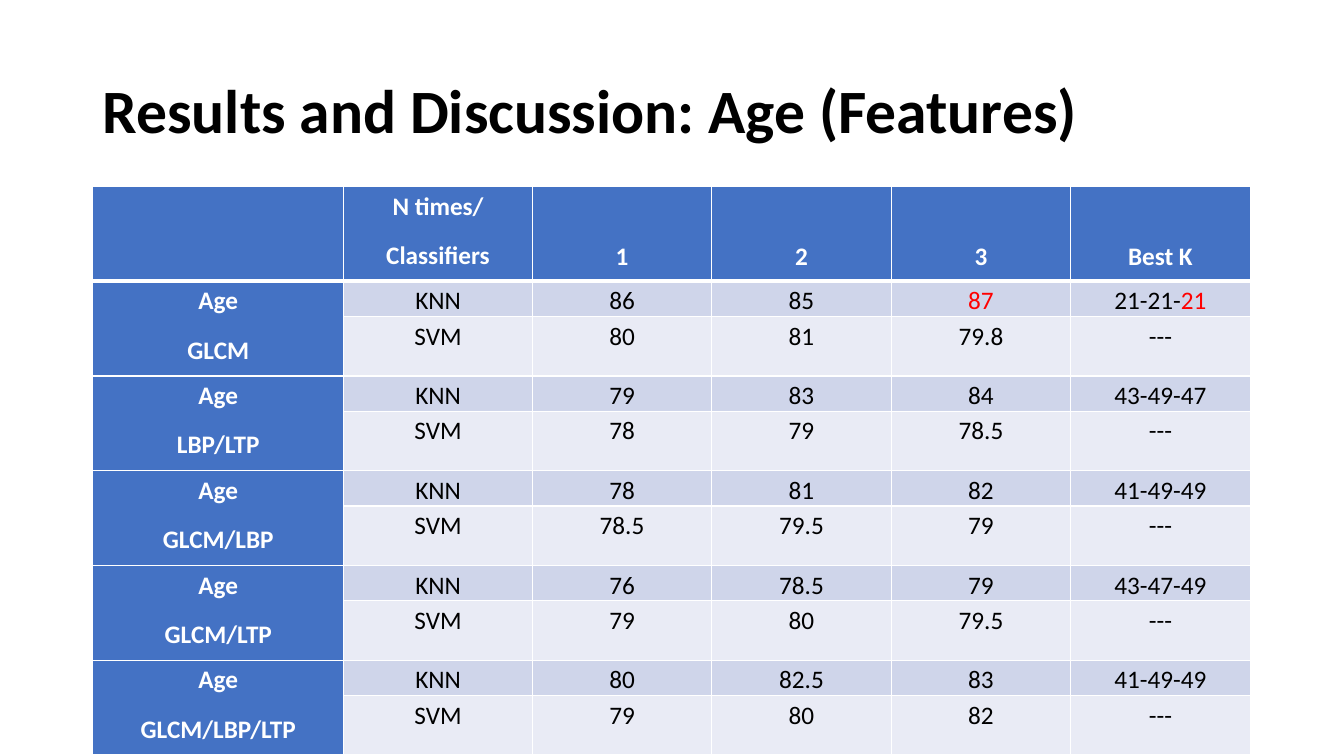
from lxml import etree
from pptx import Presentation
from pptx import util as u
from pptx.dml.color import RGBColor
from pptx.enum import text
from pptx.oxml.ns import qn

COLORS = {
    "black": "000000",
    "white": "FFFFFF",
    "red": "FF0000",
    "header": "4472C4",
    "knn": "CFD5EA",
    "svm": "E9EBF5",
}
FONT = "Calibri"
COLUMN_WIDTHS = [249, 187] + [178] * 4
HEADER_HEIGHT, KNN_HEIGHT, SVM_HEIGHT = 94, 35, 59
HEADINGS = ["", "N times/\nClassifiers", "1", "2", "3", "Best K"]
RESULTS = [
    ("GLCM", ["86", "85", "87", "21-21-"], ["80", "81", "79.8"]),
    ("LBP/LTP", ["79", "83", "84", "43-49-47"], ["78", "79", "78.5"]),
    ("GLCM/LBP", ["78", "81", "82", "41-49-49"], ["78.5", "79.5", "79"]),
    ("GLCM/LTP", ["76", "78.5", "79", "43-47-49"], ["79", "80", "79.5"]),
    ("GLCM/LBP/LTP", ["80", "82.5", "83", "41-49-49"], ["79", "80", "82"]),
]


def px(length):
    return u.Emu(length * 9144)


def rgb(name):
    return RGBColor.from_string(COLORS[name])


def style_run(run, size, color, bold):
    run.font.name = FONT
    run.font.size = u.Pt(size)
    run.font.bold = bold
    run.font.color.rgb = rgb(color)


def add_title(slide, wording):
    title = slide.shapes.add_textbox(px(92), px(40), px(1150), px(145)).text_frame
    title.word_wrap = True
    title.vertical_anchor = text.MSO_ANCHOR.MIDDLE
    title.text = wording
    title.paragraphs[0].line_spacing = 0.9
    style_run(title.paragraphs[0].runs[0], 44, "black", True)


def set_borders(cell, top=1, bottom=1):
    properties = cell._tc.get_or_add_tcPr()
    for side, width in (("L", 1), ("R", 1), ("T", top), ("B", bottom)):
        border = etree.SubElement(properties, qn(f"a:ln{side}"), w=str(u.Pt(width)))
        fill = etree.SubElement(border, qn("a:solidFill"))
        etree.SubElement(fill, qn("a:srgbClr"), val=COLORS["white"])


def fill_cell(cell, wording, fill, color="black", bold=False, top=1, bottom=1):
    set_borders(cell, top, bottom)
    cell.fill.solid()
    cell.fill.fore_color.rgb = rgb(fill)
    cell.margin_left = cell.margin_right = px(7)
    cell.margin_top = cell.margin_bottom = 0
    cell.text_frame.text = wording
    for paragraph in cell.text_frame.paragraphs:
        paragraph.alignment = text.PP_ALIGN.CENTER
        paragraph.line_spacing = 1.15
        paragraph.space_after = u.Pt(10)
        for run in paragraph.runs:
            style_run(run, 18, color, bold)


def fill_headings(grid):
    for column, heading in enumerate(HEADINGS):
        cell = grid.cell(0, column)
        fill_cell(cell, heading, "header", "white", True, bottom=3)
        if "\n" not in heading:
            cell.vertical_anchor = text.MSO_ANCHOR.BOTTOM
            cell.margin_bottom = px(9)


def fill_feature(grid, row, feature, knn, svm):
    top = 3 if row == 1 else 1
    label = grid.cell(row, 0)
    label.merge(grid.cell(row + 1, 0))
    fill_cell(label, f"Age\n{feature}", "header", "white", True, top)
    fill_cell(grid.cell(row + 1, 0), "", "header")
    for column, value in enumerate(["KNN"] + knn, 1):
        fill_cell(grid.cell(row, column), value, "knn", top=top)
    for column, value in enumerate(["SVM"] + svm + ["---"], 1):
        fill_cell(grid.cell(row + 1, column), value, "svm")


def highlight_best(grid):
    accuracy = grid.cell(1, 4).text_frame.paragraphs[0].runs[0]
    accuracy.font.color.rgb = rgb("red")
    neighbours = grid.cell(1, 5).text_frame.paragraphs[0].add_run()
    neighbours.text = "21"
    style_run(neighbours, 18, "red", False)


def add_results(slide):
    heights = [HEADER_HEIGHT] + [KNN_HEIGHT, SVM_HEIGHT] * len(RESULTS)
    grid = slide.shapes.add_table(
        len(heights), len(COLUMN_WIDTHS), px(92), px(185),
        px(sum(COLUMN_WIDTHS)), px(sum(heights)),
    ).table
    for column, width in zip(grid.columns, COLUMN_WIDTHS):
        column.width = px(width)
    for row, height in zip(grid.rows, heights):
        row.height = px(height)
    fill_headings(grid)
    for index, (feature, knn, svm) in enumerate(RESULTS):
        fill_feature(grid, 1 + 2 * index, feature, knn, svm)
    highlight_best(grid)


def main():
    deck = Presentation()
    deck.slide_width, deck.slide_height = px(1333), px(750)
    slide = deck.slides.add_slide(deck.slide_layouts[6])
    add_title(slide, "Results and Discussion: Age (Features)")
    add_results(slide)
    deck.save("out.pptx")


if __name__ == "__main__":
    main()
